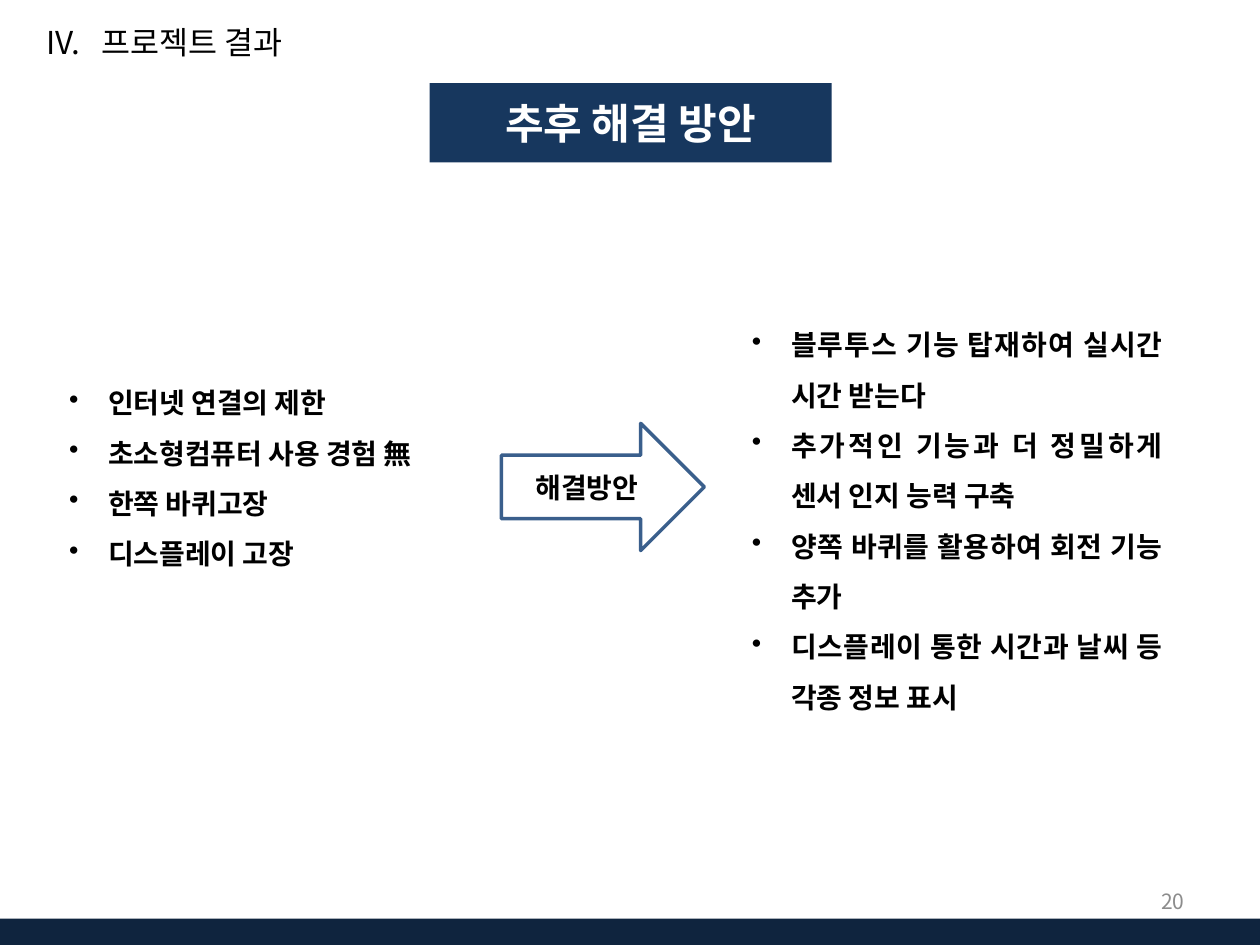
from lxml import etree
from pptx import Presentation
from pptx.dml.color import RGBColor
from pptx.enum.shapes import MSO_SHAPE
from pptx.enum.text import MSO_ANCHOR, MSO_AUTO_SIZE, PP_ALIGN
from pptx.oxml.ns import qn
from pptx.util import Inches, Pt

FONT = "Noto Sans CJK KR"
BLACK = RGBColor(0x00, 0x00, 0x00)
WHITE = RGBColor(0xFF, 0xFF, 0xFF)
GRAY = RGBColor(0x8C, 0x8C, 0x8C)
NAVY = RGBColor(0x17, 0x37, 0x5E)
DARK_NAVY = RGBColor(0x0F, 0x24, 0x3E)
ARROW_BLUE = RGBColor(0x3A, 0x5F, 0x8C)

RECTANGLE = MSO_SHAPE.RECTANGLE
RIGHT_ARROW = MSO_SHAPE.RIGHT_ARROW
MIDDLE = MSO_ANCHOR.MIDDLE
GROW = MSO_AUTO_SIZE.SHAPE_TO_FIT_TEXT
CENTER, RIGHT, JUSTIFY = PP_ALIGN.CENTER, PP_ALIGN.RIGHT, PP_ALIGN.JUSTIFY

PROBLEMS = [
    "인터넷 연결의 제한",
    "초소형컴퓨터 사용 경험 無",
    "한쪽 바퀴고장",
    "디스플레이 고장",
]
SOLUTIONS = [
    "블루투스 기능 탑재하여 실시간 시간 받는다",
    "추가적인 기능과 더 정밀하게 센서 인지 능력 구축",
    "양쪽 바퀴를 활용하여 회전 기능 추가",
    "디스플레이 통한 시간과 날씨 등 각종 정보 표시",
]


def add_run(paragraph, text, size, color=BLACK, bold=False):
    run = paragraph.add_run()
    run.text = text
    run.font.size = Pt(size)
    run.font.bold = bold
    run.font.color.rgb = color
    run.font.name = FONT
    east_asian = etree.SubElement(run.font._element, qn("a:ea"))
    east_asian.set("typeface", FONT)


def set_marker(paragraph, indent, tag, **attributes):
    """Give the paragraph a hanging indent and a bullet or number."""
    properties = paragraph._p.get_or_add_pPr()
    properties.set("marL", str(Inches(indent)))
    properties.set("indent", str(-Inches(indent)))
    marker = etree.SubElement(properties, qn(tag))
    for name, value in attributes.items():
        marker.set(name, value)


def add_text_box(slide, left, top, width, height, wrap=True):
    box = slide.shapes.add_textbox(
        Inches(left), Inches(top), Inches(width), Inches(height))
    box.text_frame.word_wrap = wrap
    return box.text_frame


def add_filled_shape(slide, preset, left, top, width, height, fill):
    shape = slide.shapes.add_shape(
        preset, Inches(left), Inches(top), Inches(width), Inches(height))
    shape.shadow.inherit = False
    shape.fill.solid()
    shape.fill.fore_color.rgb = fill
    shape.line.fill.background()
    return shape


def add_label(shape, text, size, color):
    frame = shape.text_frame
    frame.vertical_anchor = MIDDLE
    paragraph = frame.paragraphs[0]
    paragraph.alignment = CENTER
    add_run(paragraph, text, size, color, bold=True)


def add_bullet_list(slide, items, left, top, width, height, wrap=True):
    frame = add_text_box(slide, left, top, width, height, wrap)
    frame.auto_size = GROW
    for index, item in enumerate(items):
        paragraph = frame.add_paragraph() if index else frame.paragraphs[0]
        paragraph.alignment = JUSTIFY
        paragraph.line_spacing = 1.5
        set_marker(paragraph, 0.31, "a:buChar", char="•")
        add_run(paragraph, item, 16, bold=True)


def add_section_heading(slide, text):
    frame = add_text_box(slide, 0.27, 0.13, 2.38, 0.4)
    frame.auto_size = GROW
    paragraph = frame.paragraphs[0]
    set_marker(paragraph, 0.44, "a:buAutoNum", type="romanUcPeriod", startAt="4")
    add_run(paragraph, text, 18)


def add_page_number(slide, number):
    frame = add_text_box(slide, 7.17, 6.95, 2.33, 0.4)
    frame.vertical_anchor = MIDDLE
    paragraph = frame.paragraphs[0]
    paragraph.alignment = RIGHT
    add_run(paragraph, number, 12, GRAY)


def main():
    presentation = Presentation()
    presentation.slide_width = Inches(10)
    presentation.slide_height = Inches(7.5)
    slide = presentation.slides.add_slide(presentation.slide_layouts[6])

    add_page_number(slide, "20")
    add_filled_shape(slide, RECTANGLE, 0, 7.29, 10, 0.26, DARK_NAVY)

    title = add_filled_shape(slide, RECTANGLE, 3.41, 0.66, 3.19, 0.63, NAVY)
    add_label(title, "추후 해결 방안", 24, WHITE)
    add_section_heading(slide, "프로젝트 결과")

    add_bullet_list(slide, PROBLEMS, 0.45, 2.88, 3.22, 1.72, wrap=False)
    arrow = add_filled_shape(slide, RIGHT_ARROW, 3.98, 3.36, 1.61, 1.01, WHITE)
    arrow.line.color.rgb = ARROW_BLUE
    arrow.line.width = Pt(2)
    add_label(arrow, "해결방안", 16, BLACK)
    add_bullet_list(slide, SOLUTIONS, 5.87, 2.42, 3.46, 3.33)

    presentation.save("out.pptx")


if __name__ == "__main__":
    main()
